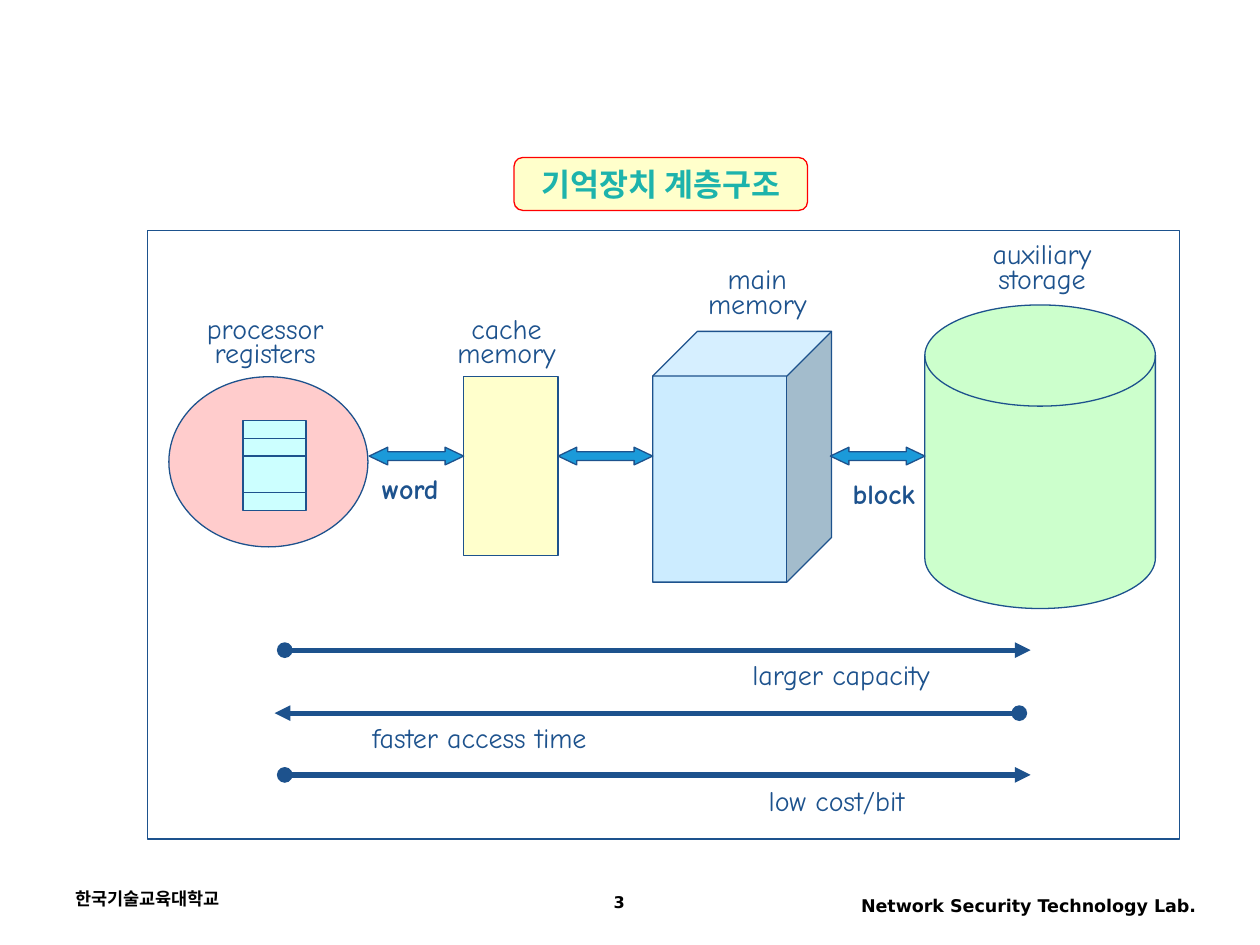
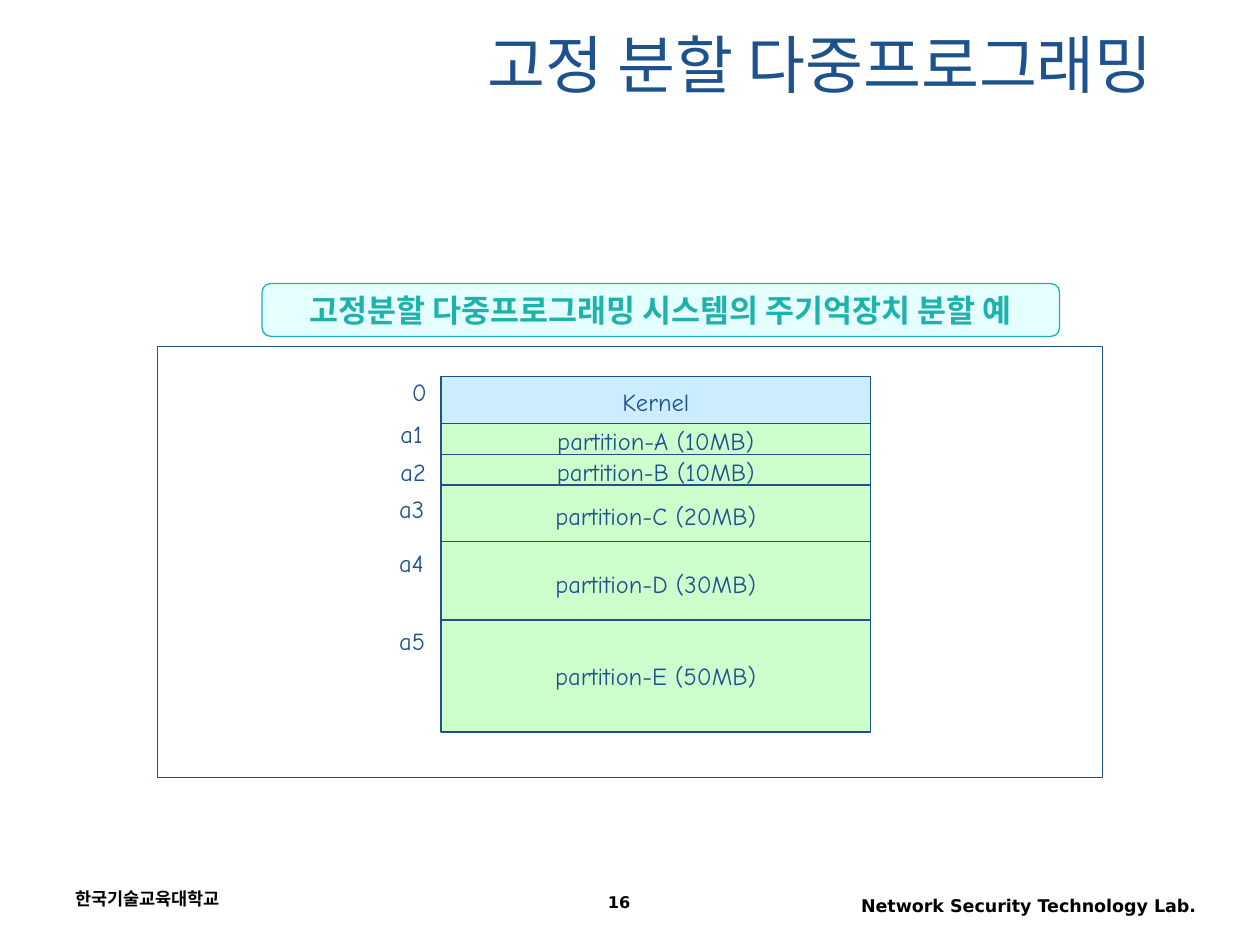
from dataclasses import dataclass

from lxml import etree
from pptx import Presentation
from pptx import util as u
from pptx.dml.color import RGBColor
from pptx.enum import shapes, text
from pptx.oxml.ns import qn


@dataclass(frozen=True)
class Theme:
    navy: str = "1D528D"
    teal: str = "1DB3AC"
    arrow_blue: str = "1B9AD9"
    red: str = "FF0000"
    black: str = "000000"
    white: str = "FFFFFF"
    green: str = "CCFFCC"
    sky: str = "CCECFF"
    cyan: str = "CCFFFF"
    pink: str = "FFCCCC"
    cream: str = "FFFFCC"
    yellow: str = "FFFF99"
    body_font: str = "Comic Neue"
    badge_font: str = "Arial Narrow"
    footer_font: str = "DejaVu Sans"
    title_font: str = "Noto Sans CJK KR"
    title_size: float = 36
    badge_size: float = 18
    label_size: float = 16
    cell_size: float = 14
    footer_size: float = 10
    number_size: float = 9.2
    thin: float = 0.75
    thick: float = 3


theme = Theme()
SHAPE = shapes.MSO_SHAPE
LEFT, CENTER, RIGHT = text.PP_ALIGN.LEFT, text.PP_ALIGN.CENTER, text.PP_ALIGN.RIGHT
TOP, MIDDLE = text.MSO_ANCHOR.TOP, text.MSO_ANCHOR.MIDDLE


def draw(slide, kind, place, fill=None, line=theme.navy, opacity=None):
    """Add a preset shape, or a text box when kind is None."""
    box = [u.Inches(value) for value in place]
    if kind is None:
        return slide.shapes.add_textbox(*box)
    shape = slide.shapes.add_shape(kind, *box)
    shape.shadow.inherit = False
    shape.fill.solid()
    shape.fill.fore_color.rgb = RGBColor.from_string(fill)
    shape.line.color.rgb = RGBColor.from_string(line)
    shape.line.width = u.Pt(theme.thin)
    if opacity is not None:
        color = shape.fill._xPr.find(qn("a:solidFill"))[0]
        etree.SubElement(color, qn("a:alpha"), val=str(opacity * 1000))
    return shape


def write(shape, words, font=theme.body_font, size=theme.label_size, color=theme.navy,
          bold=False, align=CENTER, anchor=TOP, wrap=False, before=None, spacing=(None,)):
    """Fill a shape with text; spacing gives the line spacing of each paragraph."""
    frame = shape.text_frame
    frame.text = words
    frame.word_wrap = wrap
    frame.auto_size = text.MSO_AUTO_SIZE.NONE
    frame.vertical_anchor = anchor
    for paragraph, line_spacing in zip(frame.paragraphs, spacing):
        paragraph.alignment = align
        paragraph.line_spacing = line_spacing
        if before is not None:
            paragraph.space_before = u.Pt(before)
        for run in paragraph.runs:
            run.font.name = font
            run.font.size = u.Pt(size)
            run.font.bold = bold
            run.font.color.rgb = RGBColor.from_string(color)
            latin = run.font._rPr.find(qn("a:latin"))
            latin.addnext(latin.makeelement(qn("a:ea"), {"typeface": font}))


presentation = Presentation()
presentation.slide_width = u.Inches(10)
presentation.slide_height = u.Inches(7.5)
title_only, blank = presentation.slide_layouts[5], presentation.slide_layouts[6]
hierarchy_slide = presentation.slides.add_slide(blank)
partition_slide = presentation.slides.add_slide(title_only)

# Shared parts: footers, frame and heading badge
pages = [
    (hierarchy_slide, "3", (1.17, 1.83, 8.19, 4.83),
     "기억장치 계층구조", (4.08, 1.25, 2.33, 0.42), theme.yellow, theme.red),
    (partition_slide, "16", (1.25, 2.75, 7.5, 3.42),
     "고정분할 다중프로그래밍 시스템의 주기억장치 분할 예", (2.08, 2.25, 6.33, 0.42),
     theme.cyan, theme.teal),
]
for slide, number, frame_place, heading, badge_place, badge_fill, badge_line in pages:
    footers = [
        ("한국기술교육대학교", (0.5, 7, 2.33, 0.33), LEFT, theme.footer_size, None),
        ("Network Security Technology Lab.", (6.42, 7.05, 3.17, 0.32), RIGHT,
         theme.footer_size, None),
        (number, (3.75, 7.05, 2.33, 0.28), CENTER, theme.number_size, 0.9),
    ]
    for words, place, align, size, line_spacing in footers:
        write(draw(slide, None, place), words, font=theme.footer_font, size=size,
              color=theme.black, bold=True, align=align, wrap=True, spacing=(line_spacing,))
    draw(slide, SHAPE.RECTANGLE, frame_place, theme.white)
    badge = draw(slide, SHAPE.FLOWCHART_ALTERNATE_PROCESS, badge_place, badge_fill,
                 badge_line, opacity=50)
    write(badge, heading, font=theme.badge_font, size=theme.badge_size, color=theme.teal,
          bold=True, anchor=MIDDLE, before=11.2)

# Memory hierarchy: the four kinds of storage with their names
memories = [
    (SHAPE.FLOWCHART_MAGNETIC_DISK, (7.34, 2.42, 1.83, 2.41), theme.green,
     "auxiliary\nstorage", (7.78, 1.83, 0.98, 0.56)),
    (SHAPE.RECTANGLE, (3.68, 2.99, 0.75, 1.42), theme.cream,
     "cache\nmemory", (3.53, 2.42, 0.98, 0.56)),
    (SHAPE.CUBE, (5.18, 2.63, 1.42, 1.99), theme.sky,
     "main\nmemory", (5.52, 2.03, 0.98, 0.56)),
    (SHAPE.OVAL, (1.34, 2.99, 1.58, 1.35), theme.pink,
     "processor\nregisters", (1.54, 2.42, 1.13, 0.56)),
]
for kind, place, fill, name, name_place in memories:
    draw(hierarchy_slide, kind, place, fill)
    write(draw(hierarchy_slide, None, name_place), name, spacing=(None, 0.7))

# Register cells inside the processor
register_top = 3.34
for height in (0.14, 0.14, 0.29, 0.14):
    draw(hierarchy_slide, SHAPE.RECTANGLE, (1.93, register_top, 0.5, height), theme.cyan)
    register_top += height

# Transfers between neighbouring memories
for left in (2.93, 4.43, 6.59):
    transfer = draw(hierarchy_slide, SHAPE.LEFT_RIGHT_ARROW, (left, 3.55, 0.75, 0.14),
                    theme.arrow_blue)
    transfer.adjustments[0] = 0.5
    transfer.adjustments[1] = 1.05
for unit, place in (("word", (2.93, 3.69, 0.65, 0.37)), ("block", (6.67, 3.73, 0.69, 0.37))):
    write(draw(hierarchy_slide, None, place), unit, bold=True)

# Trend arrows
trends = [
    ("larger capacity", (5.87, 5.17, 1.61, 0.37), 2.26, 8.18, 5.16),
    ("faster access time", (2.85, 5.67, 1.91, 0.37), 8.09, 2.18, 5.66),
    ("low cost/bit", (6, 6.17, 1.28, 0.37), 2.26, 8.18, 6.15),
]
for trend, place, start, end, y in trends:
    arrow = hierarchy_slide.shapes.add_connector(
        shapes.MSO_CONNECTOR.STRAIGHT, u.Inches(start), u.Inches(y), u.Inches(end), u.Inches(y))
    arrow.line.color.rgb = RGBColor.from_string(theme.navy)
    arrow.line.width = u.Pt(theme.thick)
    line_xml = arrow.line._get_or_add_ln()
    etree.SubElement(line_xml, qn("a:headEnd"), type="oval")
    etree.SubElement(line_xml, qn("a:tailEnd"), type="triangle")
    etree.SubElement(arrow._element.spPr, qn("a:effectLst"))
    write(draw(hierarchy_slide, None, place), trend)

# Fixed partitions: title
title = partition_slide.shapes.title
title.left, title.top = u.Inches(0.75), u.Inches(0.17)
title.width, title.height = u.Inches(8.5), u.Inches(0.66)
write(title, "고정 분할 다중프로그래밍", font=theme.title_font, size=theme.title_size,
      align=RIGHT, anchor=MIDDLE, wrap=True)

# Memory map: each block overlaps the next a little
partitions = [
    ("Kernel", 2.99, 0.4, theme.sky),
    ("partition-A (10MB)", 3.36, 0.27, theme.green),
    ("partition-B (10MB)", 3.61, 0.27, theme.green),
    ("partition-C (20MB)", 3.85, 0.49, theme.green),
    ("partition-D (30MB)", 4.3, 0.66, theme.green),
    ("partition-E (50MB)", 4.92, 0.89, theme.green),
]
for name, top, height, fill in partitions:
    block = draw(partition_slide, SHAPE.RECTANGLE, (3.5, top, 3.41, height), fill)
    write(block, name, size=theme.cell_size, anchor=MIDDLE)

# Start addresses
addresses = [("0", 3.17, 2.94), ("a1", 3.08, 3.28), ("a2", 3.08, 3.58),
             ("a3", 3.07, 3.87), ("a4", 3.07, 4.3), ("a5", 3.07, 4.92)]
for address, left, top in addresses:
    write(draw(partition_slide, None, (left, top, 3.53 - left, 0.34)), address,
          size=theme.cell_size, align=LEFT, wrap=True)

presentation.save("out.pptx")
